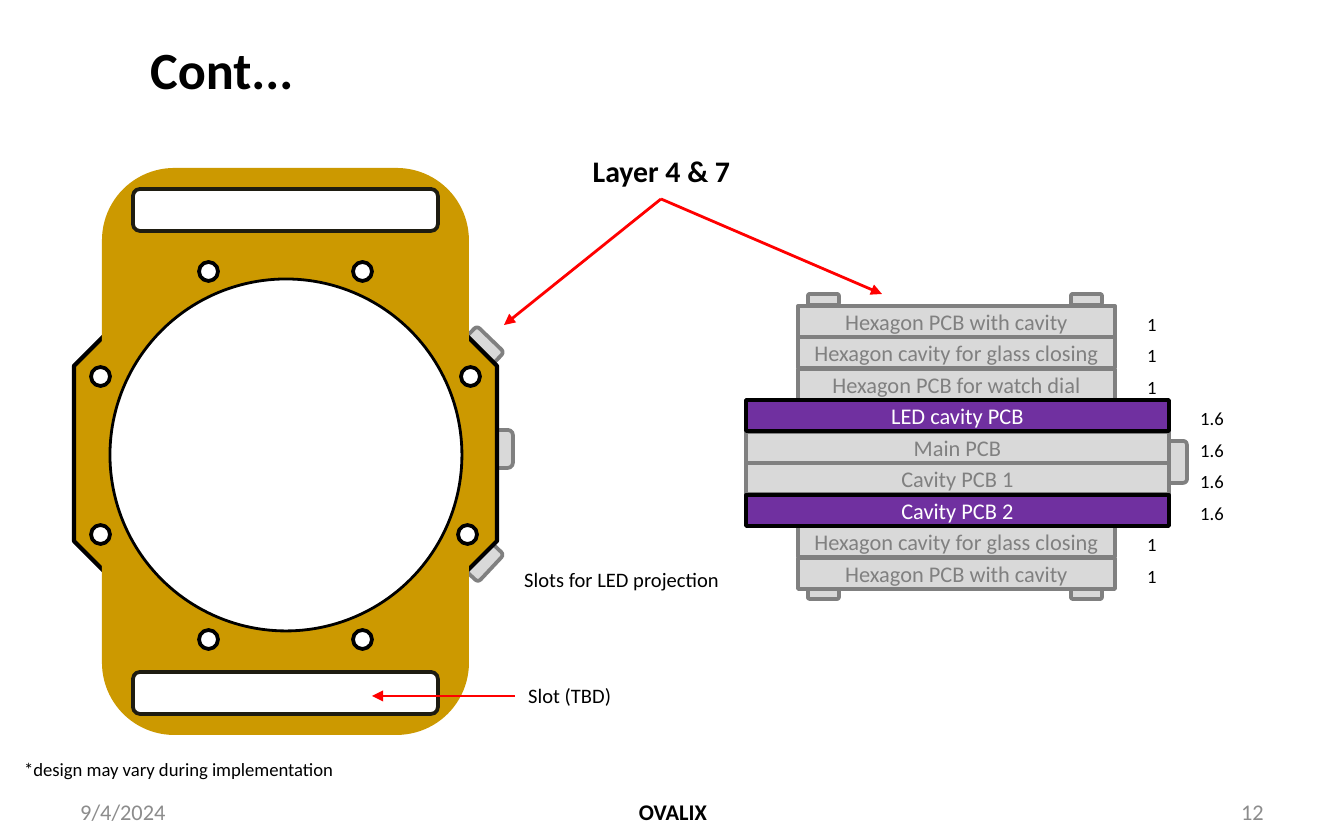
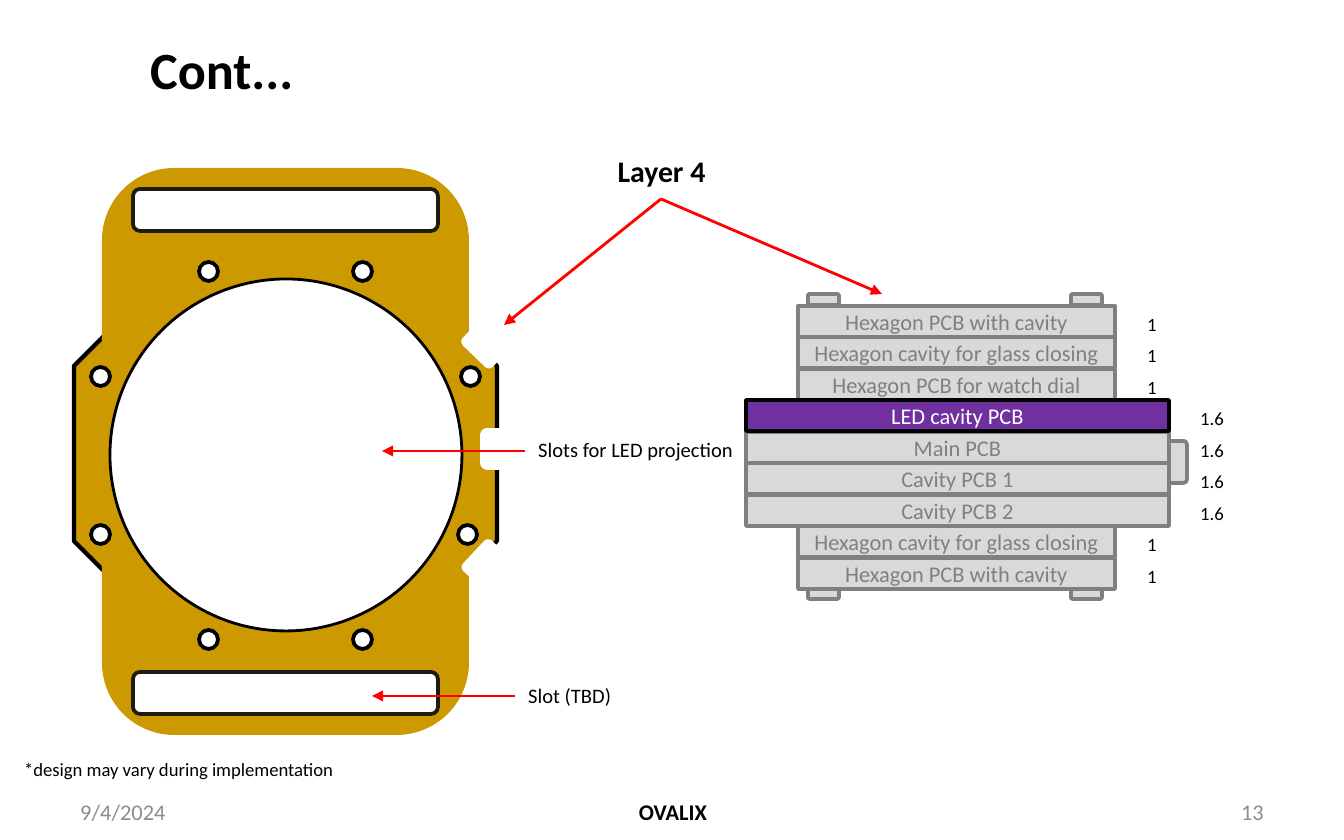
"""Build two slides that show the layers of a watch board and where each one sits."""
from lxml import etree
from pptx import Presentation
from pptx.dml.color import RGBColor
from pptx.enum.shapes import MSO_CONNECTOR, MSO_SHAPE
from pptx.enum.text import MSO_ANCHOR, PP_ALIGN
from pptx.oxml.ns import qn
from pptx.util import Pt

RECT, ROUND = MSO_SHAPE.RECTANGLE, MSO_SHAPE.ROUNDED_RECTANGLE
OVAL, OCTAGON = MSO_SHAPE.OVAL, MSO_SHAPE.OCTAGON
STRAIGHT = MSO_CONNECTOR.STRAIGHT
LEFT, CENTER, RIGHT = PP_ALIGN.LEFT, PP_ALIGN.CENTER, PP_ALIGN.RIGHT
TOP, MIDDLE = MSO_ANCHOR.TOP, MSO_ANCHOR.MIDDLE

BLACK = RGBColor(0x00, 0x00, 0x00)
WHITE = RGBColor(0xFF, 0xFF, 0xFF)
GOLD = RGBColor(0xCC, 0x99, 0x00)
SLOT_EDGE = RGBColor(0x1E, 0x1C, 0x11)
PALE = RGBColor(0xD9, 0xD9, 0xD9)
GREY = RGBColor(0x80, 0x80, 0x80)
FOOTER_GREY = RGBColor(0x8C, 0x8C, 0x8C)
PURPLE = RGBColor(0x70, 0x30, 0xA0)
RED = RGBColor(0xFF, 0x00, 0x00)

FONT = "Calibri"
PX = 914400 / 134.4
SLIDE_SIZE = (1344, 840)

SLIDES = [
    {"number": "12", "heading": "Layer 4 & 7", "highlighted": (3, 6),
     "cutouts": False, "projection_label": (511, 560, 246, 39), "arrows": []},
    {"number": "13", "heading": "Layer 4", "highlighted": (3,),
     "cutouts": True, "projection_label": (525, 430, 262, 39),
     "arrows": [((525, 451), (382, 451))]},
]

LAYERS = [
    ("Hexagon PCB with cavity", "1"),
    ("Hexagon cavity for glass closing", "1"),
    ("Hexagon PCB for watch dial", "1"),
    ("LED cavity PCB", "1.6"),
    ("Main PCB", "1.6"),
    ("Cavity PCB 1", "1.6"),
    ("Cavity PCB 2", "1.6"),
    ("Hexagon cavity for glass closing", "1"),
    ("Hexagon PCB with cavity", "1"),
]
STACK_TOP, STACK_SPAN, LAYER_HEIGHT = 306, 252, 31
LAYER_PLACES = {"1": (798, 317, 1134), "1.6": (746, 423, 1187)}
LUGS = [(x, y, 31, 11) for y in (294, 588) for x in (808, 1071)]
CROWN = (1165, 441, 22, 42)

BUTTONS = [((472, 328, 22, 38), 314), ((472, 542, 22, 38), 43.2), ((482, 430, 31, 38), 0)]
OCTAGON_BOARD = (74, 242, 423, 423)
STRAP = (102, 168, 367, 567)
STRAP_SLOTS = [(133, y, 305, 42) for y in (189, 672)]
DIAL = (110, 279, 352, 352)
HOLES = [(199, 262), (353, 262), (91, 367), (461, 367),
         (91, 525), (458, 525), (199, 630), (353, 630)]
HOLE_SIZE = 19

SHARED_TEXTS = [
    ("Cont...", (137, 17, 1140, 103), {"size": 28, "bold": True, "anchor": MIDDLE}),
    ("9/4/2024", (67, 790, 313, 44), {"size": 12, "color": FOOTER_GREY, "anchor": MIDDLE}),
    ("OVALIX", (460, 790, 426, 44),
     {"size": 12, "bold": True, "align": CENTER, "anchor": MIDDLE}),
    ("Slot (TBD)", (515, 676, 116, 39), {"size": 11}),
    ("*design may vary during implementation", (11, 751, 367, 36), {"size": 10}),
]
NUMBER_PLACE = (964, 790, 313, 44)
HEADING_PLACE = (535, 146, 253, 50)
SHARED_ARROWS = [
    ((661, 199), (882, 294)),
    ((661, 199), (504, 325)),
    ((515, 696), (372, 696)),
]


def emu(lengths):
    return [round(length * PX) for length in lengths]


def write(shape, text, size, color=BLACK, bold=False, align=LEFT, anchor=TOP, **margins):
    frame = shape.text_frame
    for name, value in {"word_wrap": True, "vertical_anchor": anchor, **margins}.items():
        setattr(frame, name, value)
    paragraph = frame.paragraphs[0]
    paragraph.alignment = align
    run = paragraph.add_run()
    run.text = text
    for name, value in {"name": FONT, "size": Pt(size), "bold": bold}.items():
        setattr(run.font, name, value)
    run.font.color.rgb = color


def add_text(shapes, text, place, style):
    write(shapes.add_textbox(*emu(place)), text, **style)


def add_part(shapes, kind, place, fill, edge=None, width=2, rotation=0):
    part = shapes.add_shape(kind, *emu(place))
    part.shadow.inherit = False
    part.rotation = rotation
    part.fill.solid()
    part.fill.fore_color.rgb = fill
    if edge is None:
        part.line.fill.background()
    else:
        part.line.color.rgb = edge
        part.line.width = Pt(width)
    return part


def add_arrow(shapes, start, end):
    arrow = shapes.add_connector(STRAIGHT, *emu(start + end))
    arrow.line.color.rgb = RED
    arrow.line.width = Pt(1.5)
    properties = arrow._element.spPr
    etree.SubElement(properties.find(qn("a:ln")), qn("a:tailEnd"), type="triangle")
    etree.SubElement(properties, qn("a:effectLst"))


def add_buttons(shapes, fill, edge):
    for place, rotation in BUTTONS:
        add_part(shapes, ROUND, place, fill, edge, rotation=rotation)


def add_board(shapes, cutouts):
    if not cutouts:
        add_buttons(shapes, PALE, GREY)
    outline = shapes.add_group_shape().shapes
    add_part(outline, OCTAGON, OCTAGON_BOARD, GOLD, BLACK, 2.25)
    add_part(outline, ROUND, STRAP, GOLD).adjustments[0] = 0.197
    for place in STRAP_SLOTS:
        add_part(shapes, ROUND, place, WHITE, SLOT_EDGE)
    add_part(shapes, OVAL, DIAL, WHITE, BLACK, 1.5)
    if cutouts:
        add_buttons(shapes, WHITE, WHITE)
    for corner in HOLES:
        add_part(shapes, OVAL, corner + (HOLE_SIZE, HOLE_SIZE), WHITE, BLACK)


def add_stack(shapes, highlighted):
    add_part(shapes, ROUND, CROWN, PALE, GREY)
    stack = shapes.add_group_shape().shapes
    for place in LUGS:
        add_part(stack, ROUND, place, PALE, GREY)
    for index in sorted(range(len(LAYERS)), key=lambda i: i in highlighted):
        layer, thickness = LAYERS[index]
        left, width, label_left = LAYER_PLACES[thickness]
        top = STACK_TOP + STACK_SPAN * index // (len(LAYERS) - 1)
        fill, edge, ink = (PURPLE, BLACK, WHITE) if index in highlighted else (PALE, GREY, GREY)
        bar = add_part(stack, RECT, (left, top, width, LAYER_HEIGHT), fill, edge)
        write(bar, layer, 12, ink, align=CENTER, anchor=MIDDLE, margin_left=0, margin_right=0)
        add_text(stack, thickness, (label_left, top, 85, 36), {"size": 10})


def add_slide(deck, content):
    shapes = deck.slides.add_slide(deck.slide_layouts[6]).shapes
    add_board(shapes, content["cutouts"])
    add_stack(shapes, content["highlighted"])
    own_texts = [
        (content["number"], NUMBER_PLACE,
         {"size": 12, "color": FOOTER_GREY, "align": RIGHT, "anchor": MIDDLE}),
        (content["heading"], HEADING_PLACE, {"size": 16, "bold": True, "align": CENTER}),
        ("Slots for LED projection", content["projection_label"], {"size": 11}),
    ]
    for text, place, style in SHARED_TEXTS + own_texts:
        add_text(shapes, text, place, style)
    for start, end in SHARED_ARROWS + content["arrows"]:
        add_arrow(shapes, start, end)


def main():
    deck = Presentation()
    deck.slide_width, deck.slide_height = emu(SLIDE_SIZE)
    for content in SLIDES:
        add_slide(deck, content)
    deck.save("out.pptx")


if __name__ == "__main__":
    main()
